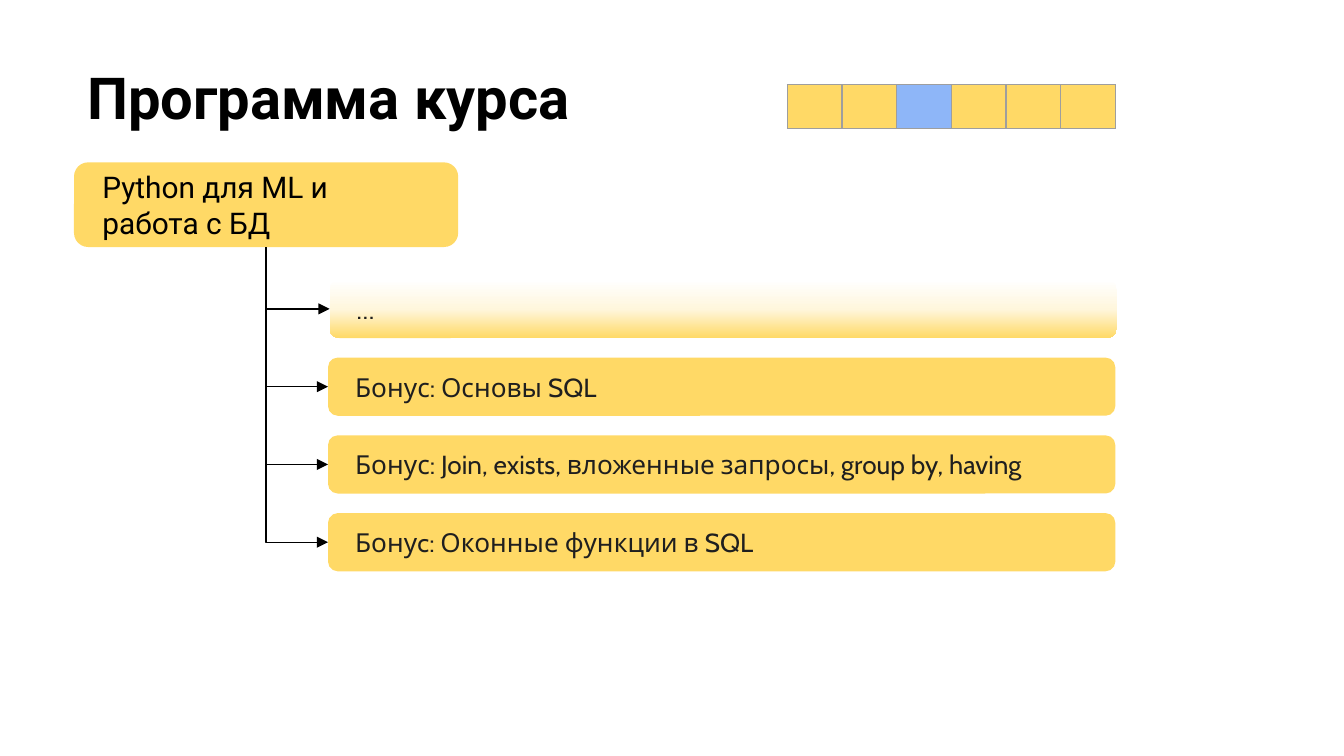
from dataclasses import dataclass

from lxml.etree import SubElement
from pptx import Presentation
from pptx.dml.color import RGBColor
from pptx.enum.shapes import MSO_CONNECTOR, MSO_SHAPE
from pptx.enum.text import MSO_ANCHOR, PP_ALIGN
from pptx.oxml.ns import qn
from pptx.shapes.autoshape import Shape
from pptx.shapes.shapetree import SlideShapes
from pptx.table import _Cell as Cell
from pptx.text.text import TextFrame
from pptx.util import Cm, Pt

BLACK = RGBColor(0x00, 0x00, 0x00)
INK = RGBColor(0x1F, 0x1F, 0x1F)
YELLOW = RGBColor(0xFF, 0xD9, 0x66)
CREAM = RGBColor(0xFF, 0xF6, 0xDC)
WHITE = RGBColor(0xFF, 0xFF, 0xFF)
BLUE = RGBColor(0x8E, 0xB6, 0xF8)
GREY = RGBColor(0x9E, 0x9E, 0x9E)

LINE_WIDTH = Pt(0.75)
TOPIC_TOP, TOPIC_PITCH = 5.29, 1.47
MODULE_COUNT, CURRENT_MODULE = 6, 2


@dataclass(frozen=True)
class Style:
    font: str
    size: float
    color: RGBColor
    bold: bool = False


@dataclass(frozen=True)
class Box:
    """A rounded box, in centimetres."""
    text: str
    left: float
    top: float
    width: float
    height: float
    style: Style


TITLE_STYLE = Style("Roboto", 31, BLACK, True)
MODULE_STYLE = Style("Roboto", 16, BLACK)
TOPIC_STYLE = Style("Cabin", 14, INK)

MODULE = Box("Python для ML и работа с БД", 1.4, 3.07, 7.26, 1.6, MODULE_STYLE)
TOPICS = [
    Box(text, left, TOPIC_TOP + row * TOPIC_PITCH, 14.88, 1.1, TOPIC_STYLE)
    for row, (text, left) in enumerate([
        ("…", 6.23),
        ("Бонус: Основы SQL", 6.2),
        ("Бонус: Join, exists, вложенные запросы, group by, having", 6.2),
        ("Бонуc: Оконные функции в SQL", 6.2),
    ])
]


def write(frame: TextFrame, text: str, style: Style, side_inset: float) -> None:
    frame.word_wrap = True
    frame.margin_left = frame.margin_right = Cm(side_inset)
    frame.margin_top = frame.margin_bottom = Cm(0.25)
    paragraph = frame.paragraphs[0]
    paragraph.alignment = PP_ALIGN.LEFT
    run = paragraph.add_run()
    run.text = text
    run.font.name = style.font
    run.font.size = Pt(style.size)
    run.font.bold = style.bold
    run.font.color.rgb = style.color


def add_box(shapes: SlideShapes, box: Box) -> Shape:
    shape = shapes.add_shape(MSO_SHAPE.ROUNDED_RECTANGLE, Cm(box.left), Cm(box.top),
                             Cm(box.width), Cm(box.height))
    shape.shadow.inherit = False
    shape.fill.solid()
    shape.fill.fore_color.rgb = YELLOW
    shape.line.fill.background()
    shape.text_frame.vertical_anchor = MSO_ANCHOR.MIDDLE
    write(shape.text_frame, box.text, box.style, 0.46)
    return shape


def fade_to_white(shape: Shape) -> None:
    """Fill the shape with a gradient from white at the top to yellow."""
    shape.fill.gradient()
    shape.fill.gradient_angle = 270
    stops = shape._element.spPr.find(qn("a:gradFill")).find(qn("a:gsLst"))
    for stop in list(stops):
        stops.remove(stop)
    for percent, color in ((0, WHITE), (51, CREAM), (100, YELLOW)):
        stop = SubElement(stops, qn("a:gs"), pos=str(percent * 1000))
        SubElement(stop, qn("a:srgbClr"), val=str(color))


def add_branch(shapes: SlideShapes, parent: Shape, child: Shape) -> None:
    """Draw an arrow down from the parent's bottom and right to the child's left side."""
    start_x, start_y = parent.left + parent.width // 2, parent.top + parent.height
    end_x, end_y = child.left, child.top + child.height // 2
    branch = shapes.add_connector(MSO_CONNECTOR.ELBOW, start_x, start_y, end_x, end_y)
    branch.begin_connect(parent, 2)
    branch.end_connect(child, 1)

    # A single-bend connector is laid out sideways, then turned about its centre.
    run, drop = end_x - start_x, end_y - start_y
    branch.width, branch.height = drop, run
    branch.left = (start_x + end_x - drop) // 2
    branch.top = (start_y + end_y - run) // 2
    properties = branch._element.spPr
    properties.find(qn("a:prstGeom")).set("prst", "bentConnector2")
    frame = properties.find(qn("a:xfrm"))
    frame.set("rot", str(270 * 60000))
    frame.set("flipH", "1")

    branch.line.color.rgb = BLACK
    branch.line.width = LINE_WIDTH
    SubElement(properties.find(qn("a:ln")), qn("a:tailEnd"), type="triangle")
    SubElement(properties, qn("a:effectLst"))


def style_cell(cell: Cell, color: RGBColor) -> None:
    cell.margin_left = cell.margin_right = cell.margin_top = cell.margin_bottom = 0
    properties = cell._tc.get_or_add_tcPr()
    for side in ("a:lnL", "a:lnR", "a:lnT", "a:lnB"):
        border = SubElement(properties, qn(side), w=str(LINE_WIDTH))
        SubElement(SubElement(border, qn("a:solidFill")), qn("a:srgbClr"), val=str(GREY))
    cell.fill.solid()
    cell.fill.fore_color.rgb = color


def add_progress(shapes: SlideShapes) -> None:
    """Draw the strip of course modules with the current one highlighted."""
    progress = shapes.add_table(1, MODULE_COUNT, Cm(14.88), Cm(1.6), Cm(6.2), Cm(0.83)).table
    progress.first_row = progress.horz_banding = False
    for index in range(MODULE_COUNT):
        style_cell(progress.cell(0, index), BLUE if index == CURRENT_MODULE else YELLOW)


def main() -> None:
    presentation = Presentation()
    presentation.slide_width, presentation.slide_height = Cm(25.4), Cm(14.29)
    shapes = presentation.slides.add_slide(presentation.slide_layouts[6]).shapes

    title = shapes.add_textbox(Cm(1.4), Cm(0.91), Cm(23.67), Cm(3.05))
    write(title.text_frame, "Программа курса", TITLE_STYLE, 0.25)
    add_progress(shapes)

    module = add_box(shapes, MODULE)
    topics = [add_box(shapes, topic) for topic in TOPICS]
    fade_to_white(topics[0])
    for topic in topics:
        add_branch(shapes, module, topic)

    presentation.save("out.pptx")


if __name__ == "__main__":
    main()
